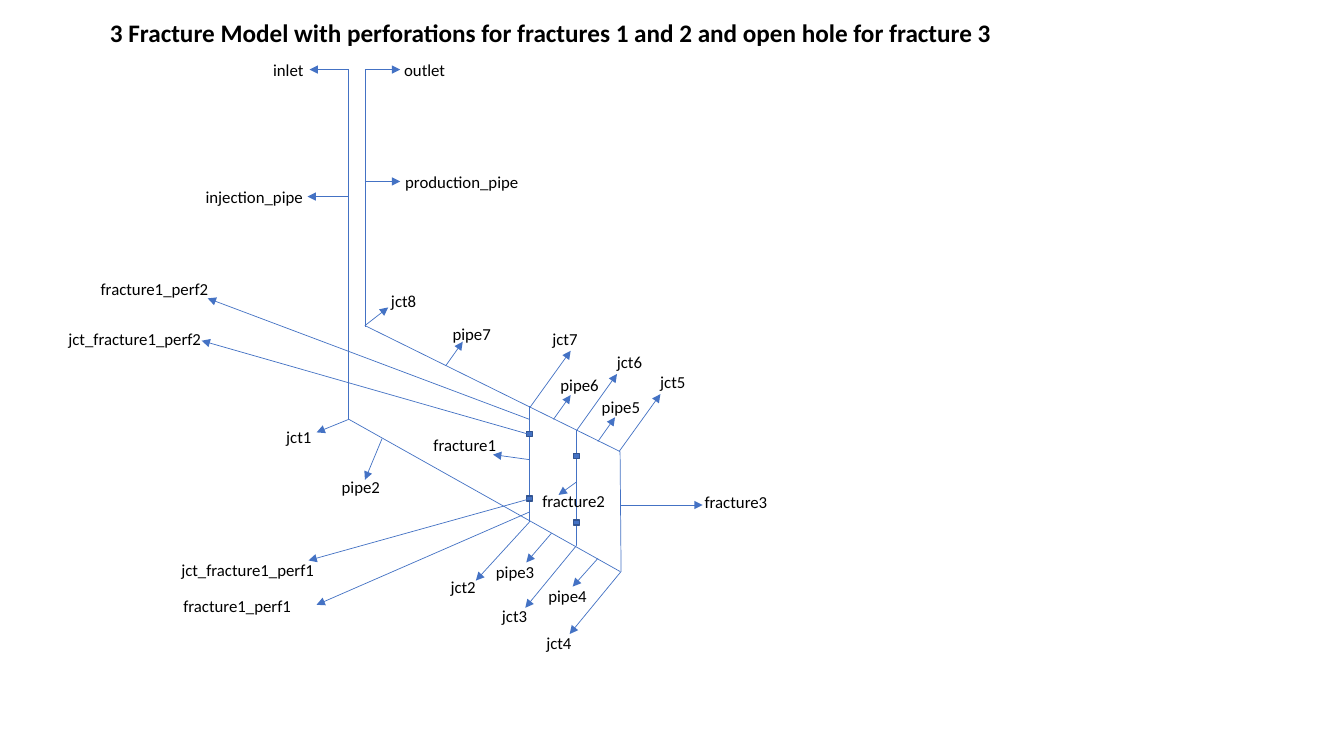
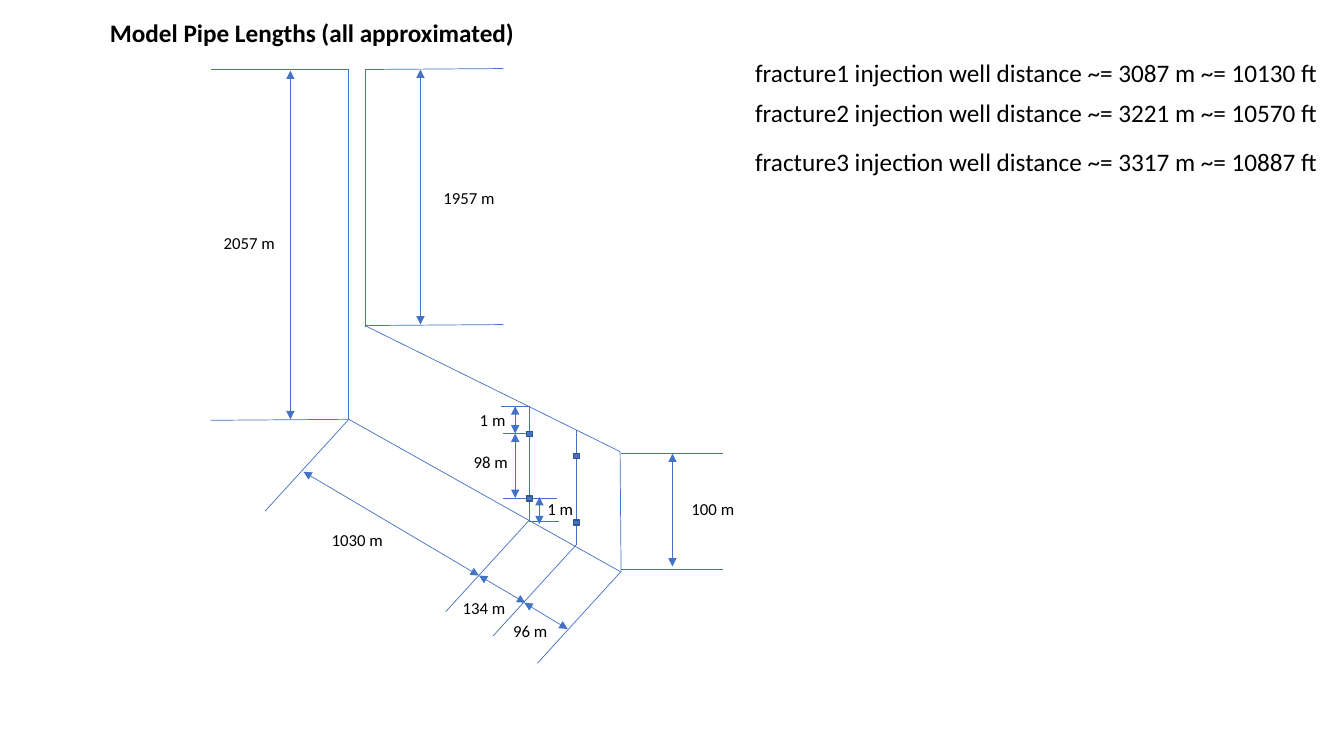
"""Build two slides on a three-fracture well model: its parts and its pipe lengths."""
from lxml.etree import SubElement
from pptx import Presentation
from pptx.dml.color import RGBColor
from pptx.enum.shapes import MSO_CONNECTOR, MSO_SHAPE
from pptx.enum.text import MSO_ANCHOR, MSO_AUTO_SIZE, PP_ALIGN
from pptx.oxml.ns import qn
from pptx.util import Pt

PX = 9144
FONT = "Calibri"
COLORS = {"line": "4472C4", "edge": "325491", "text": "000000"}
LABEL_HEIGHT = 30
TITLE_HEIGHT = 40

WELL_LINES = [
    ((346, 69), (346, 416)),
    ((346, 416), (615, 567)),
    ((616, 567), (615, 448)),
    ((615, 448), (362, 323)),
    ((362, 324), (362, 69)),
    ((572, 541), (572, 427)),
    ((525, 518), (525, 403)),
]
PERFORATIONS = [(569, 516), (569, 450), (522, 492), (522, 428)]

CALLOUTS = [
    ("injection_pipe", (194, 180, 144), (346, 195), (305, 195)),
    ("production_pipe", (392, 165, 144), (362, 180), (397, 180)),
    ("pipe2", (329, 468, 66), (379, 435), (362, 476)),
    ("jct1", (274, 418, 66), (346, 416), (314, 429)),
    ("jct2", (437, 567, 66), (525, 518), (472, 576)),
    ("pipe3", (482, 552, 66), (547, 529), (522, 558)),
    ("jct3", (488, 596, 66), (572, 541), (521, 603)),
    ("pipe4", (534, 576, 66), (593, 554), (568, 582)),
    ("jct4", (532, 623, 66), (616, 567), (565, 629)),
    ("fracture3", (689, 483, 144), (616, 501), (697, 501)),
    ("jct5", (645, 364, 66), (614, 448), (655, 391)),
    ("jct6", (602, 344, 66), (572, 427), (612, 371)),
    ("jct7", (538, 321, 66), (525, 405), (566, 348)),
    ("pipe5", (587, 389, 66), (593, 438), (610, 414)),
    ("pipe6", (546, 367, 66), (549, 416), (566, 392)),
    ("pipe7", (439, 316, 66), (442, 363), (459, 339)),
    ("jct8", (378, 284, 66), (362, 323), (385, 305)),
    ("inlet", (261, 54, 53), (346, 69), (307, 69)),
    ("outlet", (391, 54, 68), (362, 69), (397, 69)),
    ("jct_fracture1_perf1", (170, 550, 160), (525, 495), (306, 556)),
    ("fracture1_perf1", (172, 586, 160), (525, 508), (314, 600)),
    ("jct_fracture1_perf2", (58, 321, 160), (525, 431), (200, 338)),
    ("fracture1_perf2", (90, 272, 160), (525, 416), (206, 296)),
    ("fracture1", (420, 426, 88), (525, 456), (489, 451)),
    ("fracture2", (528, 482, 88), (572, 478), (554, 491)),
]

DIMENSIONS = [
    ("2057 m", (212, 226, 76), (288, 70), (288, 416)),
    ("1030 m", (319, 521, 80), (301, 468), (475, 571)),
    ("134 m", (449, 588, 80), (475, 571), (521, 598)),
    ("96 m", (499, 611, 56), (520, 598), (563, 624)),
    ("100 m", (676, 490, 80), (667, 450), (667, 562)),
    ("1957 m", (430, 181, 76), (417, 69), (417, 322)),
    ("1 m", (466, 402, 80), (511, 403), (511, 430)),
    ("98 m", (460, 443, 80), (511, 430), (511, 494)),
    ("1 m", (533, 490, 80), (535, 493), (535, 520)),
]
EXTENSION_LINES = [
    ((346, 416), (209, 417)),
    ((346, 69), (209, 69)),
    ((717, 565), (616, 565)),
    ((717, 450), (616, 450)),
    ((499, 68), (362, 69)),
    ((499, 322), (362, 323)),
    ((525, 403), (497, 403)),
    ((527, 430), (499, 430)),
    ((527, 494), (499, 494)),
    ((552, 494), (524, 494)),
    ((554, 517), (526, 517)),
]
for x, y in [(346, 416), (525, 516), (572, 540), (616, 567)]:
    EXTENSION_LINES.append(((x, y), (x - 83, y + 91)))

DISTANCES = [
    ("fracture1 injection well distance ~= 3087 m ~= 10130 ft", 52),
    ("fracture2 injection well distance ~= 3221 m ~= 10570 ft", 92),
    ("fracture3 injection well distance ~= 3317 m ~= 10887 ft", 140),
]


def add_line(slide, start, end, arrowheads=()):
    connector = slide.shapes.add_connector(
        MSO_CONNECTOR.STRAIGHT, *[value * PX for value in (*start, *end)])
    connector.line.color.rgb = RGBColor.from_string(COLORS["line"])
    connector.line.width = Pt(0.5)
    properties = connector.element.spPr
    outline = properties.find(qn("a:ln"))
    for arrowhead in arrowheads:
        SubElement(outline, qn(f"a:{arrowhead}"), type="triangle")
    SubElement(properties, qn("a:effectLst"))


def write_text(shape, text, box, size=12, bold=False):
    shape.left, shape.top, shape.width, shape.height = [value * PX for value in box]
    frame = shape.text_frame
    frame.text = text
    frame.word_wrap = True
    frame.auto_size = MSO_AUTO_SIZE.SHAPE_TO_FIT_TEXT
    frame.vertical_anchor = MSO_ANCHOR.TOP
    paragraph = frame.paragraphs[0]
    paragraph.alignment = PP_ALIGN.LEFT
    font = paragraph.runs[0].font
    font.name = FONT
    font.size = Pt(size)
    font.bold = bold
    font.color.rgb = RGBColor.from_string(COLORS["text"])


presentation = Presentation()
presentation.slide_width = 1333 * PX
presentation.slide_height = 750 * PX

SLIDES = [
    ("3 Fracture Model with perforations for fractures 1 and 2 and open hole for fracture 3",
     1006, CALLOUTS, ("tailEnd",), [], []),
    ("Model Pipe Lengths (all approximated)",
     586, DIMENSIONS, ("headEnd", "tailEnd"), EXTENSION_LINES, DISTANCES),
]

for title, title_width, labelled_lines, arrowheads, plain_lines, notes in SLIDES:
    slide = presentation.slides.add_slide(presentation.slide_layouts[5])
    write_text(slide.shapes.title, title, (99, 12, title_width, TITLE_HEIGHT), 18, True)

    for start, end in WELL_LINES + plain_lines:
        add_line(slide, start, end)

    for left, top in PERFORATIONS:
        perforation = slide.shapes.add_shape(
            MSO_SHAPE.RECTANGLE, left * PX, top * PX, 6 * PX, 5 * PX)
        perforation.shadow.inherit = False
        perforation.fill.solid()
        perforation.fill.fore_color.rgb = RGBColor.from_string(COLORS["line"])
        perforation.line.color.rgb = RGBColor.from_string(COLORS["edge"])
        perforation.line.width = Pt(1)

    for text, label_box, start, end in labelled_lines:
        add_line(slide, start, end, arrowheads)
        label = slide.shapes.add_textbox(0, 0, 0, 0)
        write_text(label, text, (*label_box, LABEL_HEIGHT))

    for text, top in notes:
        distance = slide.shapes.add_textbox(0, 0, 0, 0)
        write_text(distance, text, (739, top, 594, TITLE_HEIGHT), 18)

presentation.save("out.pptx")
